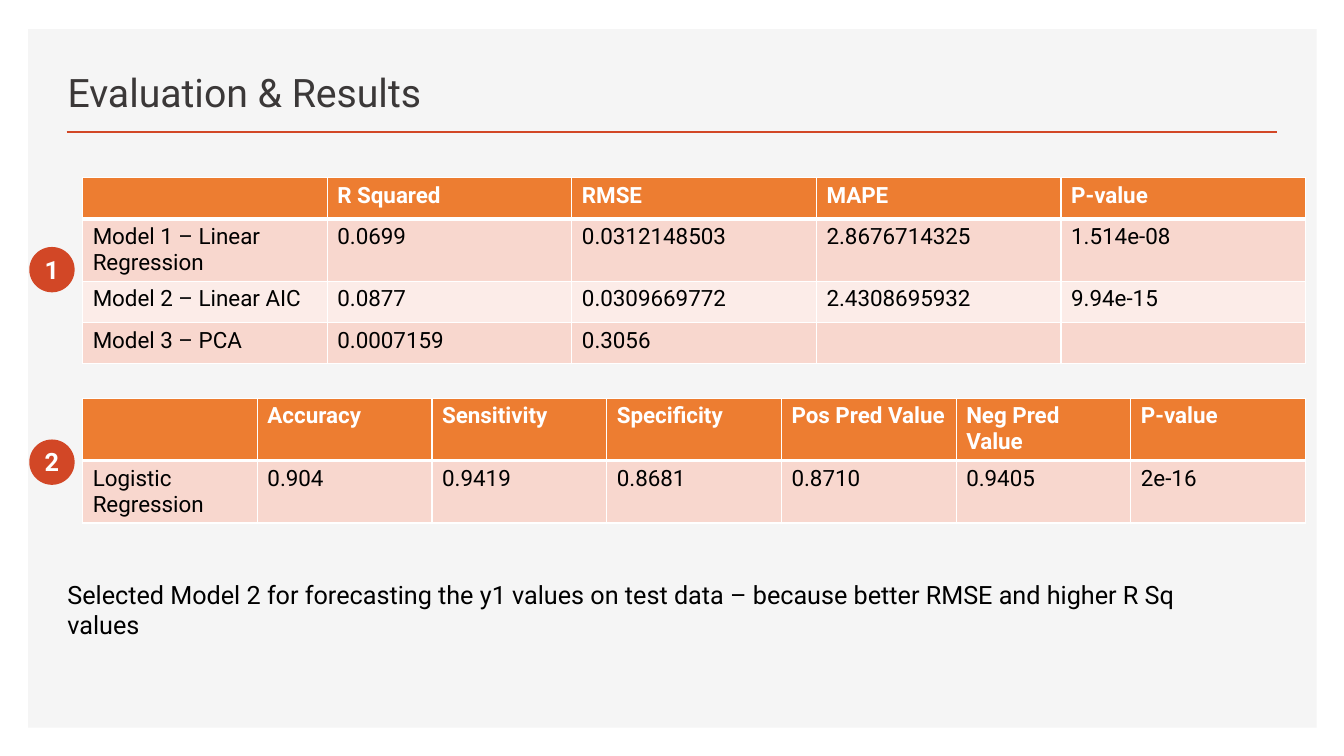
from lxml.etree import SubElement
from pptx import Presentation
from pptx.dml.color import RGBColor
from pptx.enum.shapes import MSO_CONNECTOR, MSO_SHAPE
from pptx.enum.text import MSO_ANCHOR, MSO_AUTO_SIZE, PP_ALIGN
from pptx.oxml.ns import qn
from pptx.util import Inches, Pt

ACCENT = "D24726"
HEADER = "ED7D31"
BANDS = ("F8D7CE", "FCECE8")

MODELS = [
    ["", "R Squared", "RMSE", "MAPE", "P-value"],
    ["Model 1 – Linear Regression", "0.0699", "0.0312148503", "2.8676714325", "1.514e-08"],
    ["Model 2 – Linear AIC", "0.0877", "0.0309669772", "2.4308695932", "9.94e-15"],
    ["Model 3 – PCA", "0.0007159", "0.3056", "", ""],
]
CLASSIFIER = [
    ["", "Accuracy", "Sensitivity", "Specificity", "Pos Pred Value", "Neg Pred Value", "P-value"],
    ["Logistic Regression", "0.904", "0.9419", "0.8681", "0.8710", "0.9405", "2e-16"],
]


def color(value):
    """Turn a hex string into a colour."""
    return RGBColor.from_string(value)


def write(frame, text, size=18, fill="000000", bold=False, align=PP_ALIGN.LEFT, font="Roboto"):
    """Put one formatted paragraph into a text frame."""
    para = frame.paragraphs[0]
    para.alignment = align
    if text:
        span = para.add_run()
        span.text = text
        span.font.name = font
        span.font.size = Pt(size)
        span.font.bold = bold
        span.font.color.rgb = color(fill)


def add_border(cell, edge, width):
    """Draw one white edge of a table cell."""
    line = SubElement(cell._tc.get_or_add_tcPr(), qn(f"a:{edge}"), w=str(Pt(width)))
    SubElement(SubElement(line, qn("a:solidFill")), qn("a:srgbClr"), val="FFFFFF")


class ResultsPage:
    """Hold the style and the current slide."""

    def __init__(self, deck):
        """Add a title-only slide to the deck."""
        self.page = deck.slides.add_slide(deck.slide_layouts[5])
        self.shapes = self.page.shapes

    def title(self, text, left, top, width, height):
        """Place and format the title placeholder."""
        box = self.shapes.title
        box.left, box.top = Inches(left), Inches(top)
        box.width, box.height = Inches(width), Inches(height)
        box.text_frame.auto_size = MSO_AUTO_SIZE.NONE
        box.text_frame.vertical_anchor = MSO_ANCHOR.BOTTOM
        write(box.text_frame, text, size=28, fill="3B3838")

    def shape(self, shapes, kind, left, top, width, height, fill):
        """Add a plain filled shape."""
        shape = shapes.add_shape(kind, Inches(left), Inches(top), Inches(width), Inches(height))
        shape.shadow.inherit = False
        shape.fill.solid()
        shape.fill.fore_color.rgb = color(fill)
        shape.line.fill.background()
        return shape

    def panel(self, left, top, width, height):
        """Add the grey panel behind the title."""
        panel = self.shape(self.shapes, MSO_SHAPE.RECTANGLE, left, top, width, height, "F5F5F5")
        self.shapes.title.element.addprevious(panel.element)

    def rule(self, left, right, top):
        """Add the horizontal line under the title."""
        rule = self.shapes.add_connector(
            MSO_CONNECTOR.STRAIGHT, Inches(left), Inches(top), Inches(right), Inches(top))
        rule.line.color.rgb = color(ACCENT)
        rule.line.width = Pt(2)
        SubElement(rule.element.spPr, qn("a:effectLst"))

    def text(self, shapes, text, left, top, width, height, **style):
        """Add a wrapping text box."""
        box = shapes.add_textbox(Inches(left), Inches(top), Inches(width), Inches(height))
        box.text_frame.word_wrap = True
        write(box.text_frame, text, **style)

    def table(self, rows, top, heights, left=0.82, width=12.13):
        """Add a table with a header row and banded body rows."""
        count = len(rows[0])
        table = self.shapes.add_table(
            len(rows), count, Inches(left), Inches(top), Inches(width), Inches(sum(heights))).table
        table.horz_banding = False
        for column in table.columns:
            column.width = Inches(width / count)
        for index, values in enumerate(rows):
            table.rows[index].height = Inches(heights[index])
            header = index == 0
            for cell, value in zip(table.rows[index].cells, values):
                write(cell.text_frame, value, size=16, bold=header,
                      fill="FFFFFF" if header else "000000")
                for edge in ("lnL", "lnR", "lnT", "lnB"):
                    thick = (index, edge) in ((0, "lnB"), (1, "lnT"))
                    add_border(cell, edge, 3 if thick else 1)
                cell.fill.solid()
                cell.fill.fore_color.rgb = color(HEADER if header else BANDS[(index - 1) % 2])

    def badge(self, number, top, size=0.45):
        """Add a numbered circle as a group."""
        shapes = self.shapes.add_group_shape().shapes
        self.shape(shapes, MSO_SHAPE.OVAL, 0.29, top, size, size, ACCENT)
        self.text(shapes, number, 0.21, top + 0.02, 0.61, 0.4,
                  fill="FFFFFF", bold=True, align=PP_ALIGN.CENTER)


def main():
    """Build and save the deck."""
    deck = Presentation()
    deck.slide_width, deck.slide_height = Inches(13.33), Inches(7.5)
    results = ResultsPage(deck)
    results.panel(0.28, 0.29, 12.78, 6.93)
    results.rule(0.66, 12.67, 1.31)
    results.title("Evaluation & Results", 0.57, 0.49, 7.52, 0.7)
    results.table(MODELS, 1.76, [0.41, 0.62, 0.41, 0.41])
    results.table(CLASSIFIER, 3.95, [0.62, 0.62])
    results.text(
        results.shapes,
        "Selected Model 2 for forecasting the y1 values on test data – "
        "because better RMSE and higher R Sq values",
        0.57, 5.7, 11.82, 0.4)
    for number, top in (("1", 2.45), ("2", 4.36)):
        results.badge(number, top)
    deck.save("out.pptx")


if __name__ == "__main__":
    main()
